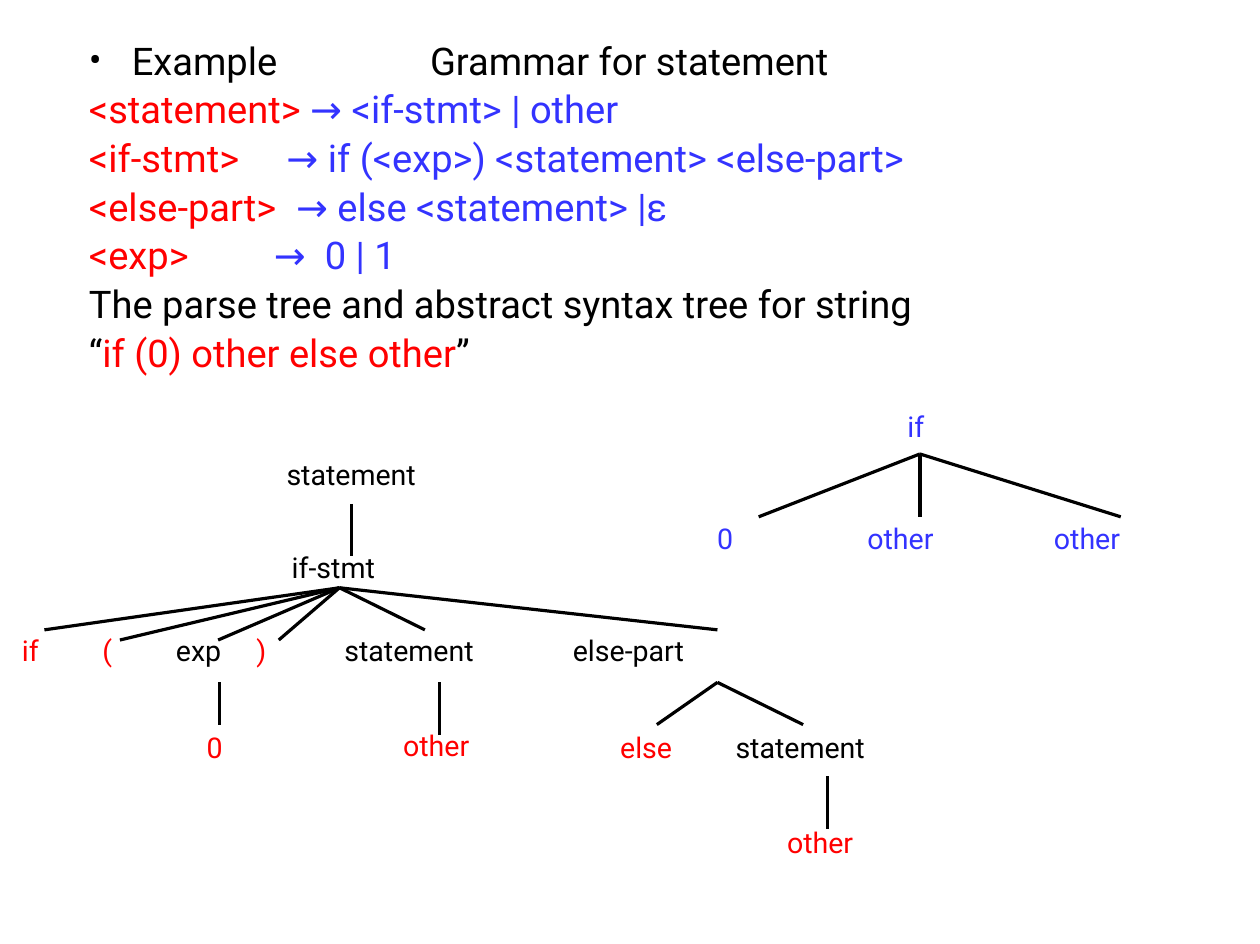
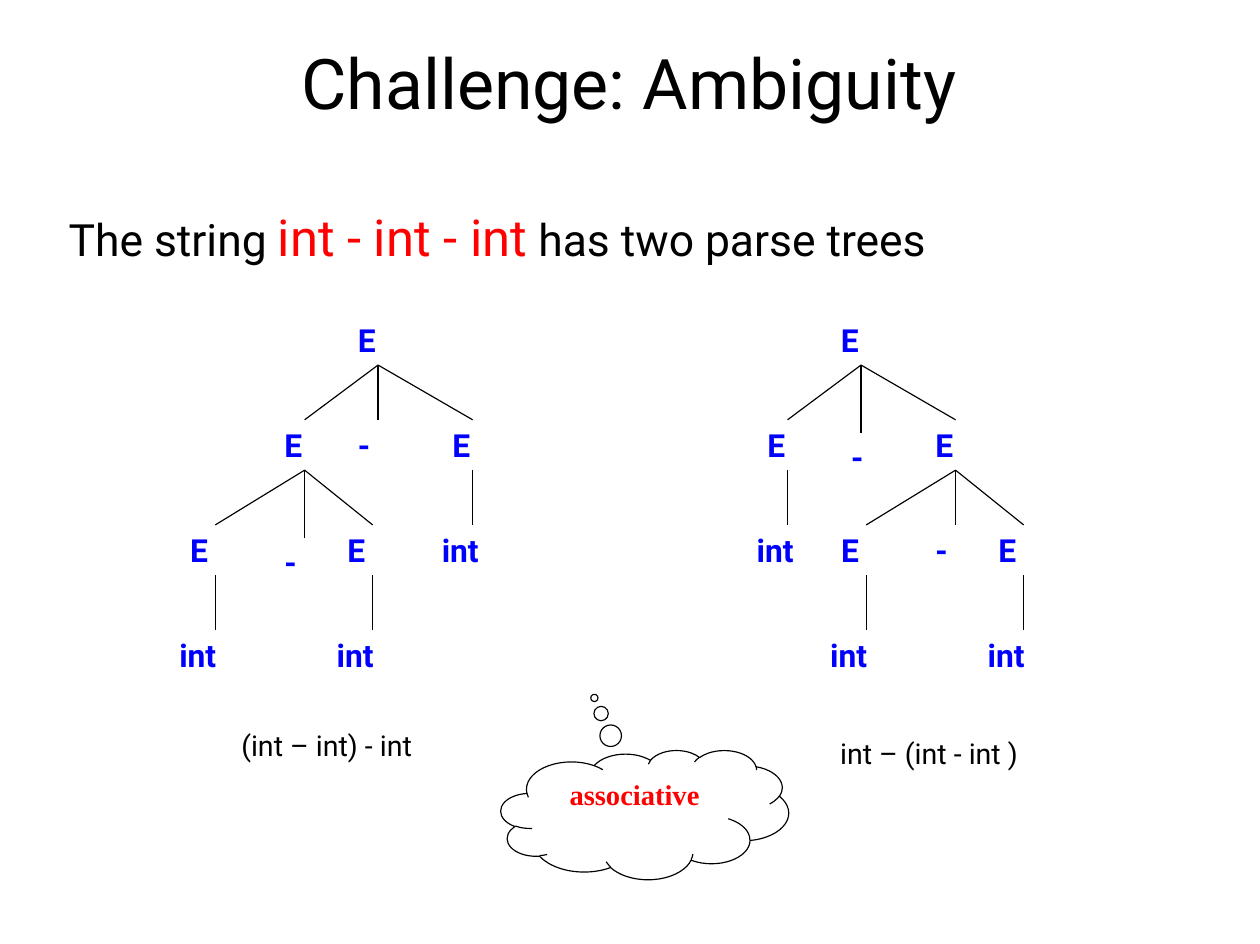
from dataclasses import dataclass

from lxml import etree
from pptx import Presentation
from pptx.dml.color import RGBColor
from pptx.enum.shapes import MSO_CONNECTOR, MSO_SHAPE
from pptx.enum.text import MSO_ANCHOR, PP_ALIGN
from pptx.oxml.ns import qn
from pptx.util import Pt

STRAIGHT = MSO_CONNECTOR.STRAIGHT
CLOUD = MSO_SHAPE.CLOUD_CALLOUT
CENTER, LEFT = PP_ALIGN.CENTER, PP_ALIGN.LEFT
TOP = MSO_ANCHOR.TOP
BOTTOM_SITE, TOP_SITE = 2, 0

COLORS = {
    "black": "000000",
    "white": "FFFFFF",
    "red": "FF0000",
    "violet": "3333FF",
    "blue": "0000FF",
}
FONT = "Roboto"
SERIF = "Times New Roman"
LABEL_H = 28.8
NODE_H = 31.7
LEVEL_TOP, LEVEL_STEP = 198.3, 66.2


@dataclass
class Seg:
    text: str
    color: str = "black"
    size: float = 24
    bold: bool = False
    font: str = FONT


@dataclass
class Para:
    segs: list[Seg]
    tabs: tuple[float, ...] = ()
    bullet: bool = False


@dataclass
class Label:
    text: str
    x: float
    y: float
    color: str = "black"


@dataclass
class Fan:
    """Lines from one point to several ends."""
    start: tuple[float, float]
    ends: list[tuple[float, float]]


@dataclass
class Node:
    """A tree node: dx is measured from the root, parent is a list index."""
    text: str
    dx: float
    level: int
    width: float
    parent: int | None = None
    drop: float = 0


GRAMMAR = [
    Para([Seg("Example\tGrammar for statement")], (215,), True),
    Para([Seg("<statement> ", "red"), Seg("→ <if-stmt> | other", "violet")]),
    Para([Seg("<if-stmt>\t", "red"),
          Seg("→ if (<exp>) <statement> <else-part>", "violet")], (124.5,)),
    Para([Seg("<else-part>\t", "red"),
          Seg("→ else <statement> |ε", "violet")], (130.5,)),
    Para([Seg("<exp>\t", "red"), Seg("→\t0 | 1", "violet")], (116.5, 148.7)),
    Para([Seg("The parse tree and abstract syntax tree for string")]),
    Para([Seg("“"), Seg("if (0) other else other", "red"), Seg("”")]),
]

TREE_LABELS = [
    Label("statement", 173.5, 284.4),
    Label("if-stmt", 176.8, 343.1),
    Label("if", 6.7, 395.3, "red"),
    Label("(", 57.5, 395.3, "red"),
    Label("exp", 103.8, 395.3),
    Label(")", 154.6, 395.3, "red"),
    Label("statement", 210, 395.3),
    Label("else-part", 354, 395.3),
    Label("0", 123.1, 456.5, "red"),
    Label("other", 247, 455, "red"),
    Label("else", 383.8, 456.5, "red"),
    Label("statement", 456.5, 456.5),
    Label("other", 489, 516, "red"),
    Label("if", 564.8, 254.2, "violet"),
    Label("0", 445, 324.4, "violet"),
    Label("other", 539.6, 324.4, "violet"),
    Label("other", 657.2, 324.4, "violet"),
]

TREE_FANS = [
    Fan((221.8, 317.5), [(221.8, 350)]),
    Fan((214, 370.3), [(28, 396.8), (75.6, 403.2), (137.5, 403.2),
                       (175.7, 403.2), (267.8, 396.8), (452.2, 396.8)]),
    Fan((138.2, 429.9), [(138.2, 456.5)]),
    Fan((277.2, 429.9), [(277.2, 463)]),
    Fan((452.2, 429.9), [(414, 456.5), (506.2, 456.5)]),
    Fan((521.5, 489.2), [(521.5, 522.2)]),
    Fan((579.8, 286), [(478.2, 325.6), (579.8, 325.6), (706.4, 325.6)]),
]

LEFT_TREE = [
    Node("E", 0, 0, 39.6),
    Node("E", -46.3, 1, 39.6, 0),
    Node("-", 0, 1, 39.6, 0),
    Node("E", 59.6, 1, 39.6, 0),
    Node("E", -102.6, 2, 46, 1),
    Node("-", -46.3, 2, 39.6, 1, 8),
    Node("E", -3.4, 2, 46, 1),
    Node("int", 59.6, 2, 53, 3),
    Node("int", -102.6, 3, 59.6, 4),
    Node("int", -3.4, 3, 59.6, 6),
]
RIGHT_TREE = [
    Node("E", 0, 0, 39.6),
    Node("E", -46.3, 1, 39.6, 0),
    Node("-", 0, 1, 26.6, 0, 8),
    Node("E", 59.6, 1, 39.6, 0),
    Node("int", -46.3, 2, 53, 1),
    Node("E", 3.3, 2, 46, 3),
    Node("-", 59.6, 2, 39.6, 3),
    Node("E", 102.5, 2, 46, 3),
    Node("int", 3.3, 3, 59.6, 5),
    Node("int", 102.5, 3, 59.6, 7),
]


def rgb(name: str) -> RGBColor:
    return RGBColor.from_string(COLORS[name])


def add_runs(p, segs: list[Seg]) -> None:
    for seg in segs:
        r = p.add_run()
        r.text = seg.text
        r.font.name = seg.font
        r.font.size = Pt(seg.size)
        r.font.bold = seg.bold
        r.font.color.rgb = rgb(seg.color)


def add_marks(p, para: Para) -> None:
    """Add the bullet and the tab stops of a paragraph."""
    pPr = p._p.get_or_add_pPr()
    if para.bullet:
        pPr.set("marL", str(Pt(27)))
        pPr.set("indent", str(-Pt(27)))
        etree.SubElement(pPr, qn("a:buFont")).set("typeface", FONT)
        etree.SubElement(pPr, qn("a:buChar")).set("char", "•")
    if para.tabs:
        tabs = etree.SubElement(pPr, qn("a:tabLst"))
        for pos in para.tabs:
            tab = etree.SubElement(tabs, qn("a:tab"))
            tab.set("pos", str(Pt(pos)))
            tab.set("algn", "l")


def add_text(slide, x: float, y: float, w: float, h: float,
             paras: list[Para], align=LEFT, spacing: float = 1):
    sp = slide.shapes.add_textbox(Pt(x), Pt(y), Pt(w), Pt(h))
    tf = sp.text_frame
    tf.word_wrap = True
    tf.vertical_anchor = TOP
    for i, para in enumerate(paras):
        p = tf.add_paragraph() if i else tf.paragraphs[0]
        add_marks(p, para)
        p.alignment = align
        p.line_spacing = spacing
        if i:
            p.space_before = Pt(4.8)
        add_runs(p, para.segs)
    return sp


def add_line(slide, start: tuple[float, float], end: tuple[float, float],
             width: float):
    line = slide.shapes.add_connector(STRAIGHT, *map(Pt, start + end))
    line.line.color.rgb = rgb("black")
    line.line.width = Pt(width)
    etree.SubElement(line._element.spPr, qn("a:effectLst"))
    return line


def add_parse_tree(slide, root_x: float, nodes: list[Node]) -> None:
    boxes = []
    for node in nodes:
        x = root_x + node.dx
        y = LEVEL_TOP + node.level * LEVEL_STEP + node.drop
        box = add_text(slide, x - node.width / 2, y, node.width, NODE_H,
                       [Para([Seg(node.text, "blue", 20, True)])])
        boxes.append(box)
        if node.parent is not None:
            line = add_line(slide, (x, y), (x, y), 0.75)
            line.begin_connect(boxes[node.parent], BOTTOM_SITE)
            line.end_connect(box, TOP_SITE)


def add_cloud(slide) -> None:
    sp = slide.shapes.add_shape(CLOUD, Pt(315.7), Pt(472.6), Pt(181.4), Pt(81.4))
    sp.adjustments[0], sp.adjustments[1] = -0.175, -0.904
    sp.shadow.inherit = False
    sp.fill.solid()
    sp.fill.fore_color.rgb = rgb("white")
    sp.line.color.rgb = rgb("black")
    sp.line.width = Pt(0.75)
    tf = sp.text_frame
    tf.vertical_anchor = TOP
    tf.margin_left = tf.margin_right = Pt(7.9)
    tf.margin_top = tf.margin_bottom = Pt(4.3)
    p = tf.paragraphs[0]
    p.alignment = CENTER
    add_runs(p, [Seg("associative", "red", 18, True, SERIF)])


def build_grammar(slide) -> None:
    add_text(slide, 49, 23, 715, 268.6, GRAMMAR, spacing=0.9)
    for label in TREE_LABELS:
        add_text(slide, label.x, label.y, 22 + 11 * len(label.text), LABEL_H,
                 [Para([Seg(label.text, label.color, 18)])])
    for fan in TREE_FANS:
        for end in fan.ends:
            add_line(slide, fan.start, end, 2)


def build_ambiguity(slide) -> None:
    add_text(slide, 36.2, 21.6, 721, 90,
             [Para([Seg("Challenge: Ambiguity", size=44)])], CENTER)
    add_text(slide, 36.2, 126, 648, 356.4, [Para([
        Seg("The string ", size=28), Seg("int - int - int", "red", 32),
        Seg(" has two parse trees", size=28)])])
    add_parse_tree(slide, 238.3, LEFT_TREE)
    add_parse_tree(slide, 542.7, RIGHT_TREE)
    add_cloud(slide)
    for text, x, y in (("(int – int) - int", 145, 455.2),
                       ("int – (int - int )", 522.4, 460.3)):
        add_text(slide, x, y, 146, 29.5, [Para([Seg(text, size=18)])])


def main() -> None:
    prs = Presentation()
    prs.slide_width = Pt(794.16)
    prs.slide_height = Pt(594.72)
    blank = prs.slide_layouts[6]
    build_grammar(prs.slides.add_slide(blank))
    build_ambiguity(prs.slides.add_slide(blank))
    prs.save("out.pptx")


if __name__ == "__main__":
    main()
